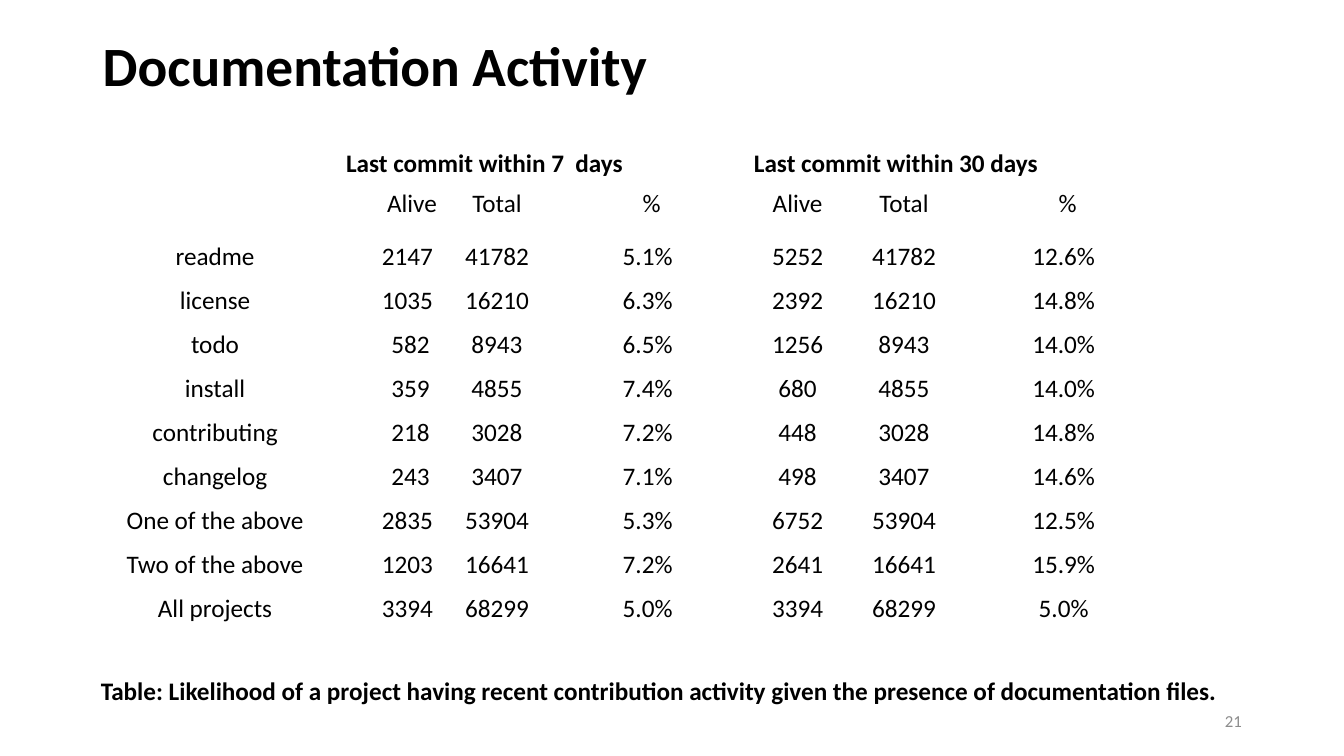
from dataclasses import dataclass

from lxml import etree
from pptx import Presentation
from pptx.dml.color import RGBColor
from pptx.enum.text import MSO_ANCHOR, PP_ALIGN
from pptx.oxml.ns import qn
from pptx.util import Cm, Pt

LEFT, CENTER, RIGHT = PP_ALIGN.LEFT, PP_ALIGN.CENTER, PP_ALIGN.RIGHT
TOP, MIDDLE = MSO_ANCHOR.TOP, MSO_ANCHOR.MIDDLE


@dataclass(frozen=True)
class Theme:
    font: str = "Calibri"
    ink: RGBColor = RGBColor(0, 0, 0)
    muted: RGBColor = RGBColor(0x8C, 0x8C, 0x8C)
    title: float = 39.6
    body: float = 18
    number: float = 12
    header_leading: Pt = Pt(9.3)
    row_leading: Pt = Pt(9.4)


THEME = Theme()

COLUMN_WIDTHS = (6.2, 2.69, 2.69, 4.9, 2.69, 2.69, 5.31)
HEADER_HEIGHT, ROW_HEIGHT = 1.34, 1.11
HEADER_MARGINS = ((0, 0), (0.18, 0.22), (0.13, 0.23), (0.18, 0.08),
                  (0.15, 0.28), (0.13, 0.28), (0.18, 0.08))
ROW_MARGINS = ((0.1, 0.14), (0.18, 0.32), (0.13, 0.23), (0.74, 0.84),
               (0.15, 0.28), (0.13, 0.28), (0.74, 0.84))
SHORT_NUMBER_MARGIN = 0.4
ALIGNMENTS = (CENTER, RIGHT) + (CENTER,) * 5
BORDERS = ("a:lnL", "a:lnR", "a:lnT", "a:lnB")

PERIODS = {1: "Last commit within 7  days", 4: "Last commit within 30 days"}
MEASURES = ("Alive", "Total", "%")
ACTIVITY = (
    ("readme", "2147", "41782", "5.1%", "5252", "41782", "12.6%"),
    ("license", "1035", "16210", "6.3%", "2392", "16210", "14.8%"),
    ("todo", "582", "8943", "6.5%", "1256", "8943", "14.0%"),
    ("install", "359", "4855", "7.4%", "680", "4855", "14.0%"),
    ("contributing", "218", "3028", "7.2%", "448", "3028", "14.8%"),
    ("changelog", "243", "3407", "7.1%", "498", "3407", "14.6%"),
    ("One of the above", "2835", "53904", "5.3%", "6752", "53904", "12.5%"),
    ("Two of the above", "1203", "16641", "7.2%", "2641", "16641", "15.9%"),
    ("All projects", "3394", "68299", "5.0%", "3394", "68299", "5.0%"),
)


def write_text(frame, text, size=THEME.body, color=THEME.ink, bold=False,
               align=LEFT, leading=None):
    paragraph = frame.paragraphs[0]
    paragraph.alignment = align
    paragraph.line_spacing = leading
    run = paragraph.add_run()
    run.text = text
    run.font.name = THEME.font
    run.font.size = Pt(size)
    run.font.bold = bold
    run.font.color.rgb = color


def add_label(slide, text, left, top, width, height, anchor=TOP, **text_format):
    frame = slide.shapes.add_textbox(Cm(left), Cm(top), Cm(width), Cm(height)).text_frame
    frame.word_wrap = True
    frame.vertical_anchor = anchor
    write_text(frame, text, **text_format)


def clear_cell(cell):
    cell.fill.background()
    properties = cell._tc.get_or_add_tcPr()
    for position, border in enumerate(BORDERS):
        line = etree.Element(qn(border), w="0")
        etree.SubElement(line, qn("a:noFill"))
        properties.insert(position, line)


def fill_cell(cell, text, margins, top=0, **text_format):
    cell.margin_left, cell.margin_right = map(Cm, margins)
    cell.margin_top, cell.margin_bottom = Cm(top), 0
    write_text(cell.text_frame, text, **text_format)


def add_activity_table(slide, left, top):
    heights = [HEADER_HEIGHT] * 2 + [ROW_HEIGHT] * len(ACTIVITY)
    table = slide.shapes.add_table(
        len(heights), len(COLUMN_WIDTHS), Cm(left), Cm(top),
        Cm(sum(COLUMN_WIDTHS)), Cm(sum(heights))).table
    table.first_row = table.horz_banding = False
    for column, width in zip(table.columns, COLUMN_WIDTHS):
        column.width = Cm(width)
    for row, height in zip(table.rows, heights):
        row.height = Cm(height)
    for cell in table.iter_cells():
        clear_cell(cell)

    for column, period in PERIODS.items():
        cell = table.cell(0, column)
        cell.merge(table.cell(0, column + len(MEASURES) - 1))
        fill_cell(cell, period, (0.18, 0), top=0.33, bold=True,
                  leading=THEME.header_leading)
    for column, measure in enumerate(MEASURES * len(PERIODS), start=1):
        fill_cell(table.cell(1, column), measure, HEADER_MARGINS[column],
                  align=ALIGNMENTS[column], leading=THEME.header_leading)
    for row, values in enumerate(ACTIVITY, start=2):
        for column, value in enumerate(values):
            before, after = ROW_MARGINS[column]
            if ALIGNMENTS[column] == RIGHT and len(value) < 4:
                after = SHORT_NUMBER_MARGIN
            fill_cell(table.cell(row, column), value, (before, after),
                      align=ALIGNMENTS[column], leading=THEME.row_leading)


def main():
    presentation = Presentation()
    presentation.slide_width, presentation.slide_height = Cm(33.87), Cm(19.05)
    slide = presentation.slides.add_slide(presentation.slide_layouts[6])
    add_label(slide, "Documentation Activity", 2.34, 1.02, 29.21, 1.42,
              anchor=MIDDLE, size=THEME.title, bold=True, leading=0.9)
    add_activity_table(slide, 2.34, 3.85)
    add_label(slide, "Table: Likelihood of a project having recent contribution activity "
              "given the presence of documentation files.",
              2.29, 16.89, 29.26, 1.02, bold=True)
    add_label(slide, "21", 23.93, 17.65, 7.62, 1.02, anchor=MIDDLE,
              size=THEME.number, color=THEME.muted, align=RIGHT)
    presentation.save("out.pptx")


if __name__ == "__main__":
    main()
